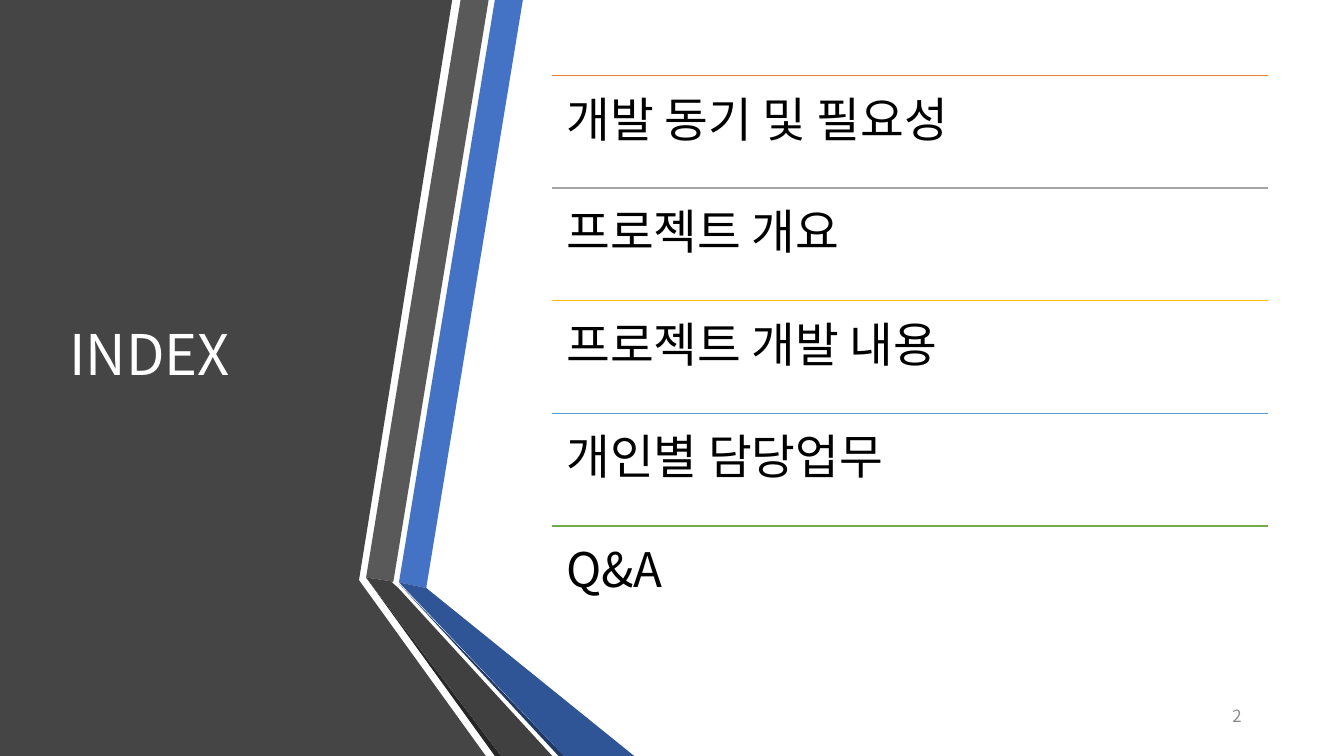
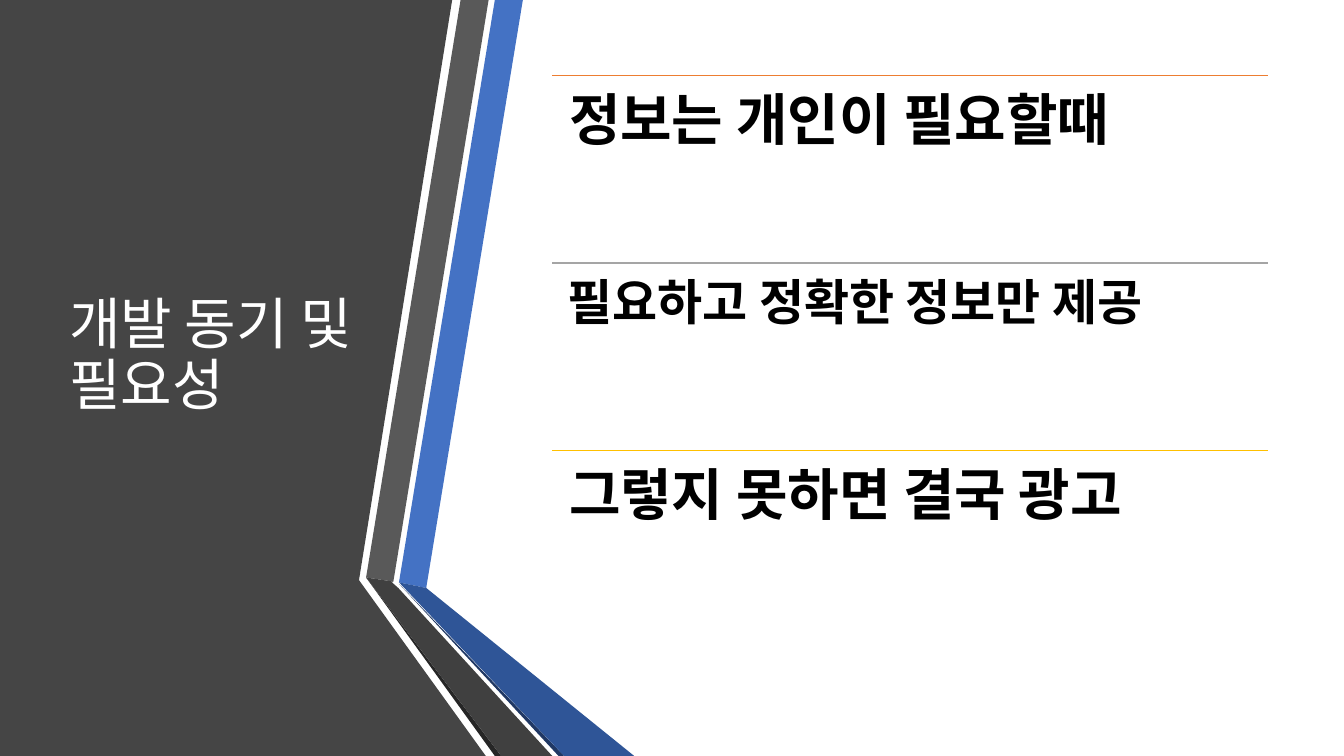
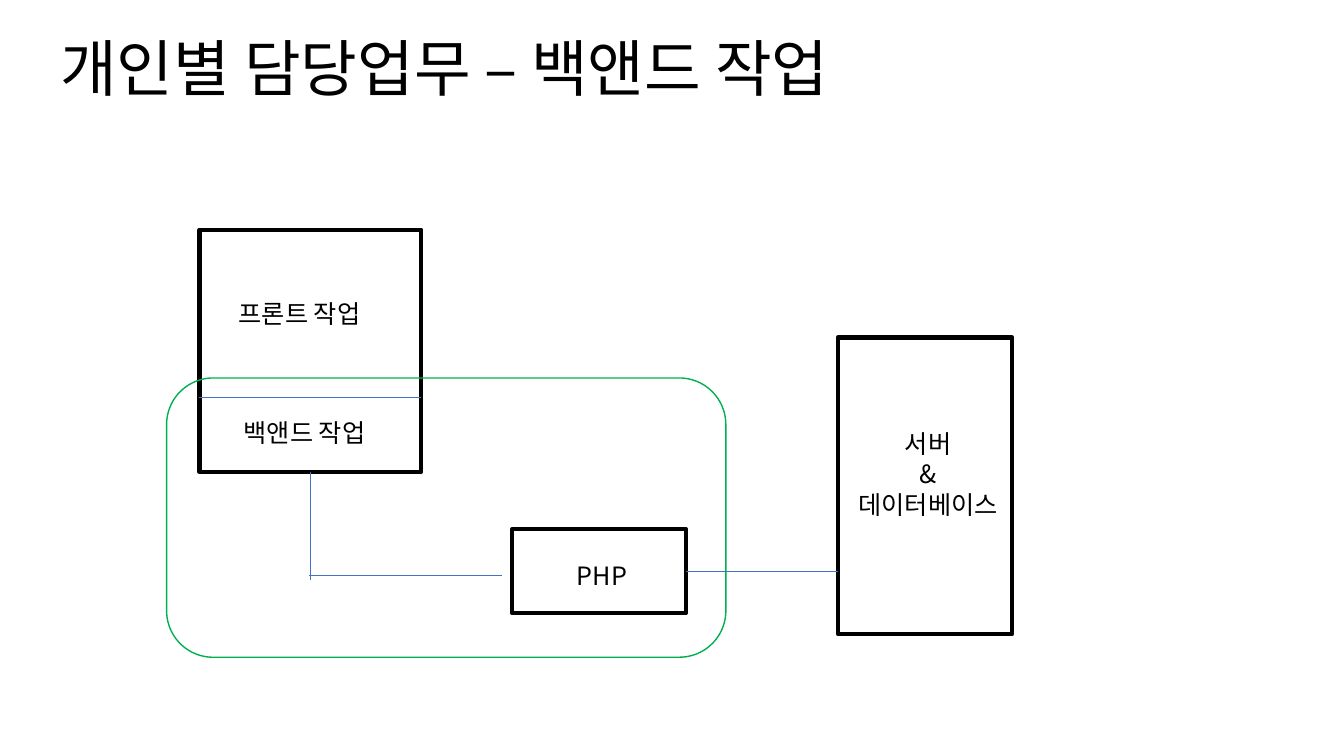
from lxml import etree
from pptx import Presentation
from pptx.dml.color import RGBColor
from pptx.enum.shapes import MSO_CONNECTOR, MSO_SHAPE
from pptx.enum.text import MSO_ANCHOR, PP_ALIGN
from pptx.oxml.ns import qn
from pptx.util import Pt

RECT, ROUND = MSO_SHAPE.RECTANGLE, MSO_SHAPE.ROUNDED_RECTANGLE
LINE = MSO_CONNECTOR.STRAIGHT
TOP, MID = MSO_ANCHOR.TOP, MSO_ANCHOR.MIDDLE
LEFT, MIDDLE, RIGHT = PP_ALIGN.LEFT, PP_ALIGN.CENTER, PP_ALIGN.RIGHT
BOTTOM_SIDE, RIGHT_SIDE = 2, 3

FONT = "Noto Sans CJK KR"
HEX = {
    "white": "FFFFFF", "black": "000000", "panel": "454545", "page": "8C8C8C",
    "blue": "4472C4", "deep": "2F5597", "navy": "203864",
    "gray": "595959", "coal": "404040", "edge": "262626",
    "orange": "ED7D31", "silver": "A5A5A5", "gold": "FFC000",
    "sky": "5B9BD5", "green": "70AD47", "frame": "00B050",
}

# Side panel and its folded ribbons: colour, outline
PANEL = ("panel", [(254, 0), (323, 0), (256.5, 414), (256.5, 414.5),
                   (347, 540), (0, 540), (0, 0)])
BANDS = [
    ("blue", [(285, 416), (304.5, 420), (373.5, 0), (353.5, 0)]),
    ("gray", [(349, 0), (329, 0), (261.5, 412.5), (281, 415.5)]),
    ("edge", [(261.5, 412.5), (353.5, 540), (358, 540)]),
    ("navy", [(285, 417), (399, 540), (403, 540)]),
    ("deep", [(285, 416), (403, 540), (453, 540), (304.5, 420)]),
    ("coal", [(394.5, 540), (284.5, 420), (280, 416), (281, 415.5),
              (261.5, 412.5), (358, 540)]),
]
RULES = ["orange", "silver", "gold", "sky", "green"]
AREA = (394.5, 54, 511, 402)
HEAD = (42.5, 54, 219, 402)

# List slides: rows are text, size, inset
LISTS = [
    {"title": "INDEX", "page": "2", "style": {},
     "rows": [("개발 동기 및 필요성", 34, 10), ("프로젝트 개요", 34, 10),
              ("프로젝트 개발 내용", 34, 10), ("개인별 담당업무", 34, 10),
              ("Q&A", 34, 10)]},
    {"title": "개발 동기 및 필요성", "page": None,
     "style": {"bold": True, "space": 0.9},
     "rows": [("정보는 개인이 필요할때", 40, 12),
              ("필요하고 정확한 정보만 제공", 35, 11),
              ("그렇지 못하면 결국 광고", 40, 12)]},
]

# Work diagram
TITLE = ("개인별 담당업무 – 백앤드 작업", (36, 12, 648, 78))
BOXES = {
    "server": (598.5, 241, 124.5, 212),
    "php": (366, 378, 124, 60),
    "app": (142.5, 164, 158.5, 173),
}
FRAME = (119, 270, 399.5, 199.5)
# from, to, joined box, joined side
LINKS = [
    ((142.5, 283.5), (301, 283.5), None, None),
    ((221.75, 337), (221.75, 414), "app", BOTTOM_SIDE),
    ((220.5, 411), (358.5, 411), None, None),
    ((490, 408), (598.5, 408), "php", RIGHT_SIDE),
]
LABELS = [
    (["프론트 작업"], (163.5, 209.5, 124, 29), LEFT),
    (["백앤드 작업"], (167, 294.5, 124, 29), LEFT),
    (["PHP"], (368, 396.5, 124, 29), MIDDLE),
    (["서버", "&", "데이터베이스"], (601, 302.5, 124, 73), MIDDLE),
]


def rgb(name):
    return RGBColor.from_string(HEX[name])


def pts(vals):
    return [Pt(v) for v in vals]


def paint(shape, fill=None, line=None, width=1):
    shape.shadow.inherit = False
    if fill:
        shape.fill.solid()
        shape.fill.fore_color.rgb = rgb(fill)
    else:
        shape.fill.background()
    if line:
        shape.line.color.rgb = rgb(line)
        shape.line.width = Pt(width)
    else:
        shape.line.fill.background()


def write(slide, lines, box, size, color="black", bold=False, align=LEFT,
          anchor=TOP, space=1.0, inset=None):
    frame = slide.shapes.add_textbox(*pts(box)).text_frame
    form = {"word_wrap": True, "vertical_anchor": anchor}
    if inset:
        sides = ("left", "top", "right", "bottom")
        form.update({f"margin_{side}": Pt(inset) for side in sides})
    for key, val in form.items():
        setattr(frame, key, val)
    for i, text in enumerate(lines):
        para = frame.add_paragraph() if i else frame.paragraphs[0]
        para.alignment, para.line_spacing = align, space
        run = para.add_run()
        run.text = text
        for key, val in {"name": FONT, "size": Pt(size), "bold": bold}.items():
            setattr(run.font, key, val)
        run.font.color.rgb = rgb(color)
        # Hangul takes its face from the East Asian slot
        etree.SubElement(run.font._element, qn("a:ea")).set("typeface", FONT)


def rule(slide, start, end, color, width):
    line = slide.shapes.add_connector(LINE, *pts(start + end))
    line.line.color.rgb = rgb(color)
    line.line.width = Pt(width)
    etree.SubElement(line._element.spPr, qn("a:effectLst"))
    return line


def outline(shapes, color, dots):
    first, *rest = [tuple(pts(dot)) for dot in dots]
    pen = shapes.build_freeform(*first)
    pen.add_line_segments(rest, close=True)
    paint(pen.convert_to_shape(), color)


def list_slide(slide, data):
    outline(slide.shapes, *PANEL)
    group = slide.shapes.add_group_shape()
    for band in BANDS:
        outline(group.shapes, *band)
    write(slide, [data["title"]], HEAD, 40, "white", anchor=MID, space=0.9)
    if data["page"]:
        write(slide, [data["page"]], (808.5, 497, 85.5, 29), 12, "page",
              align=RIGHT, anchor=MID)
    # Rows share the area evenly
    left, top, width, height = AREA
    step = height / len(data["rows"])
    for i, ((text, size, inset), color) in enumerate(zip(data["rows"], RULES)):
        y = top + i * step
        rule(slide, (left, y), (left + width, y), color, 1)
        write(slide, [text], (left, y, width, step), size, inset=inset,
              **data["style"])


def work_slide(slide):
    boxes = {}
    for name, box in BOXES.items():
        boxes[name] = slide.shapes.add_shape(RECT, *pts(box))
        paint(boxes[name], "white", "black", 3)
    for start, end, name, side in LINKS:
        line = rule(slide, start, end, "blue", 0.5)
        if name:
            line.begin_connect(boxes[name], side)
    for lines, box, align in LABELS:
        write(slide, lines, box, 18, align=align)
    paint(slide.shapes.add_shape(ROUND, *pts(FRAME)), None, "frame")
    text, box = TITLE
    write(slide, [text], box, 44, anchor=MID, space=0.9)


def main():
    deck = Presentation()
    deck.slide_width, deck.slide_height = Pt(960), Pt(540)
    blank = deck.slide_layouts[6]
    for data in LISTS:
        list_slide(deck.slides.add_slide(blank), data)
    work_slide(deck.slides.add_slide(blank))
    deck.save("out.pptx")


if __name__ == "__main__":
    main()
